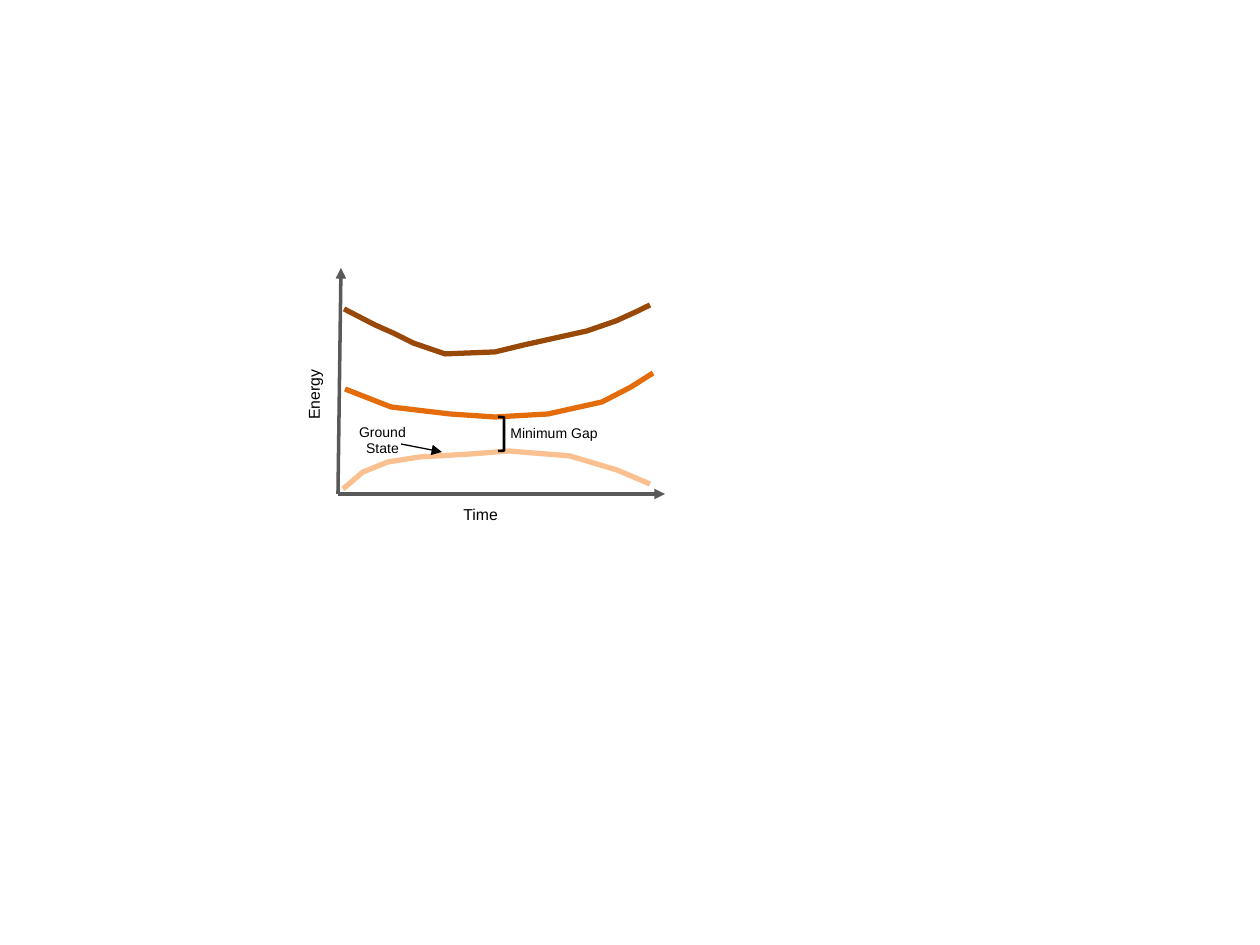
from dataclasses import dataclass

from lxml.etree import SubElement
from pptx import Presentation
from pptx.dml.color import RGBColor
from pptx.enum.shapes import MSO_CONNECTOR, MSO_SHAPE
from pptx.enum.text import MSO_AUTO_SIZE, PP_ALIGN
from pptx.oxml.ns import qn
from pptx.util import Inches, Pt

SCALE = Inches(1) / 126


@dataclass(frozen=True)
class Theme:
    font: str = "Arial"
    ink: str = "000000"
    axis: str = "595959"
    ground: str = "FAC090"
    first: str = "E46C0A"
    second: str = "984807"
    axis_size: float = 9
    note_size: float = 8
    axis_width: float = 2
    curve_width: float = 3
    gap_width: float = 1.5
    pointer_width: float = 0.75


THEME = Theme()

# Points of each energy level, relative to the diagram box
LEVELS = (
    (THEME.ground, [(43, 229), (63, 212), (88, 202), (120, 197), (171, 194),
                    (209, 191), (270, 196), (317, 210), (350, 224)]),
    (THEME.first, [(45, 129), (91, 147), (150, 154), (195, 157), (248, 154),
                   (302, 142), (331, 127), (353, 113)]),
    (THEME.second, [(44, 49), (75, 65), (93, 73), (113, 83), (145, 94),
                    (195, 92), (224, 85), (287, 71), (316, 61), (338, 51),
                    (350, 45)]),
)


def px(value):
    return round(value * SCALE)


def set_line(line, color, width):
    line.color.rgb = RGBColor.from_string(color)
    line.width = Pt(width)


def add_arrow(shapes, start, tip, color, width):
    arrow = shapes.add_connector(MSO_CONNECTOR.STRAIGHT, *map(px, start + tip))
    set_line(arrow.line, color, width)
    SubElement(arrow.line._get_or_add_ln(), qn("a:tailEnd"), type="triangle")
    SubElement(arrow._element.spPr, qn("a:effectLst"))


def add_curve(shapes, points, color):
    corners = [(px(x), px(y)) for x, y in points]
    builder = shapes.build_freeform(*corners[0])
    builder.add_line_segments(corners[1:], close=False)
    curve = builder.convert_to_shape()
    curve.fill.background()
    curve.shadow.inherit = False
    set_line(curve.line, color, THEME.curve_width)


def add_label(shapes, text, box, size, align=PP_ALIGN.LEFT, rotation=0):
    label = shapes.add_textbox(*map(px, box))
    label.rotation = rotation
    frame = label.text_frame
    frame.word_wrap = True
    frame.auto_size = MSO_AUTO_SIZE.SHAPE_TO_FIT_TEXT
    paragraph = frame.paragraphs[0]
    paragraph.text = text
    paragraph.alignment = align
    paragraph.font.name = THEME.font
    paragraph.font.size = Pt(size)
    paragraph.font.color.rgb = RGBColor.from_string(THEME.ink)


def add_energy_diagram(shapes, left, top):
    def at(x, y):
        return left + x, top + y

    # Axes
    origin = at(38, 234)
    for tip in (at(41, 8), at(365, 234)):
        add_arrow(shapes, origin, tip, THEME.axis, THEME.axis_width)

    # Energy levels
    for color, points in LEVELS:
        add_curve(shapes, [at(x, y) for x, y in points], color)

    # Axis titles
    add_label(shapes, "Time", (*at(151, 239), 105, 32), THEME.axis_size)
    add_label(shapes, "Energy", (*at(-86, 56), 200, 32), THEME.axis_size,
              rotation=270)

    # Minimum gap
    gap = shapes.add_shape(MSO_SHAPE.RIGHT_BRACKET,
                           *map(px, (*at(198, 157), 6, 34)))
    gap.fill.background()
    gap.shadow.inherit = False
    set_line(gap.line, THEME.ink, THEME.gap_width)
    add_label(shapes, "Minimum Gap", (*at(198, 158), 127, 30), THEME.note_size)

    # Ground state pointer
    add_arrow(shapes, at(101, 184), at(142, 192), THEME.ink,
              THEME.pointer_width)
    add_label(shapes, "Ground State", (*at(42, 157), 81, 47), THEME.note_size,
              align=PP_ALIGN.CENTER)


presentation = Presentation()
presentation.slide_width = px(1260)
presentation.slide_height = px(945)
slide = presentation.slides.add_slide(presentation.slide_layouts[6])
add_energy_diagram(slide.shapes, 300, 260)
presentation.save("out.pptx")
